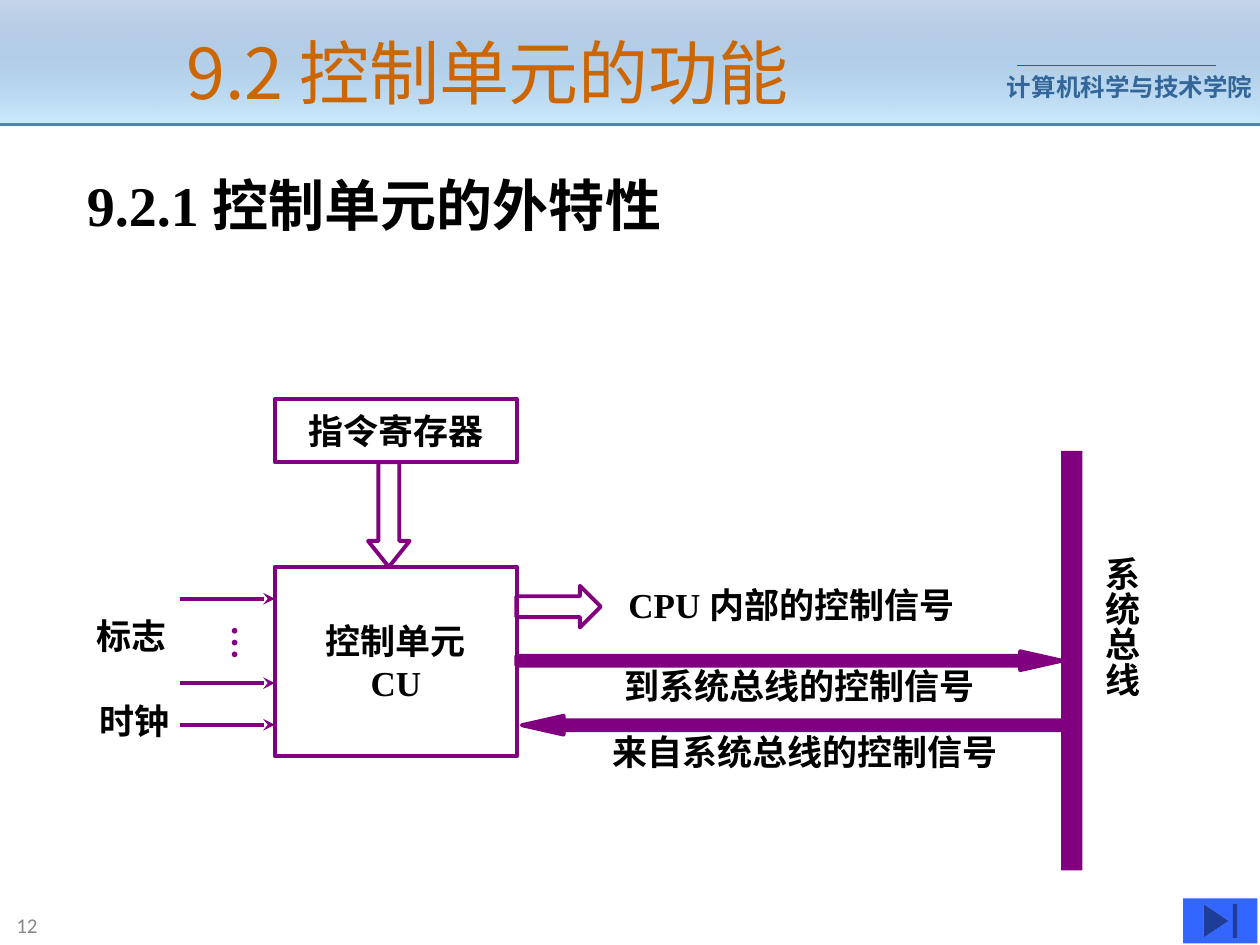
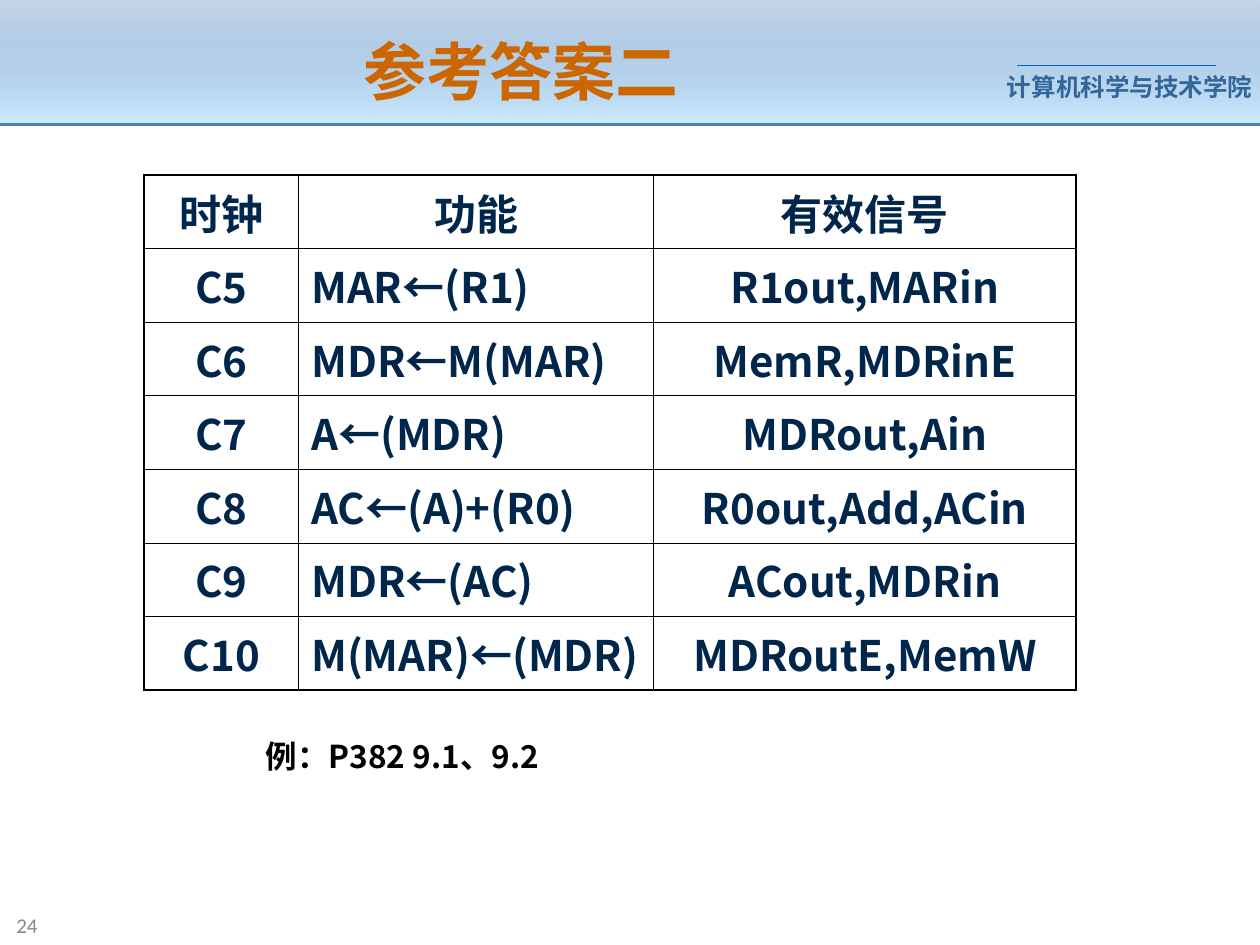
"""Build two lecture slides on the control unit of a processor."""
from dataclasses import dataclass

from lxml import etree
from pptx import Presentation
from pptx.dml.color import RGBColor
from pptx.enum.shapes import MSO_CONNECTOR, MSO_SHAPE
from pptx.enum.text import MSO_ANCHOR, MSO_AUTO_SIZE, PP_ALIGN
from pptx.oxml.ns import qn
from pptx.util import Cm, Pt

RECTANGLE = MSO_SHAPE.RECTANGLE
DOWN_ARROW, LEFT_ARROW, RIGHT_ARROW = (
    MSO_SHAPE.DOWN_ARROW, MSO_SHAPE.LEFT_ARROW, MSO_SHAPE.RIGHT_ARROW)
END_BUTTON = MSO_SHAPE.ACTION_BUTTON_END
STRAIGHT = MSO_CONNECTOR.STRAIGHT
LEFT, CENTER = PP_ALIGN.LEFT, PP_ALIGN.CENTER
MIDDLE = MSO_ANCHOR.MIDDLE
FIXED, GROW = MSO_AUTO_SIZE.NONE, MSO_AUTO_SIZE.SHAPE_TO_FIT_TEXT
TITLE_ONLY = 5


@dataclass(frozen=True)
class Style:
    """Describe the look of one kind of text."""
    size: int
    name: str
    color: str
    bold: bool = True


class Theme:
    """Hold the colours, fonts and text styles of the deck."""
    width, height = 25.4, 19.05
    east_asian = "Noto Sans CJK SC"
    serif = "Times New Roman"
    purple, blue, sky, rule, button = "800080", "4F81BD", "CCECFF", "0066CC", "3366FF"
    black, orange = "000000", "CC6600"
    stroke, outer, inner = 2.25, 1.08, 0.45
    section_title = Style(40, east_asian, orange, False)
    answer_title = Style(36, east_asian, orange)
    school = Style(14, "Arial", "336699")
    number = Style(12, "Calibri", "898989", False)
    heading = Style(32, serif, black)
    label = Style(20, serif, black)
    dots = Style(20, serif, purple)
    cell = Style(24, east_asian, "00264C")
    note = Style(18, east_asian, black)


TIGHT = {"margin_left": 0, "margin_right": 0}
BARE = {**TIGHT, "margin_top": 0, "margin_bottom": 0}
UPRIGHT = {"word_wrap": False, "auto_size": GROW,
           "margin_left": Cm(0.13), "margin_right": Cm(0.13),
           "margin_top": Cm(0.25), "margin_bottom": Cm(0.25)}

ROWS = [
    ("时钟", "功能", "有效信号"),
    ("C5", "MAR←(R1)", "R1out,MARin"),
    ("C6", "MDR←M(MAR)", "MemR,MDRinE"),
    ("C7", "A←(MDR)", "MDRout,Ain"),
    ("C8", "AC←(A)+(R0)", "R0out,Add,ACin"),
    ("C9", "MDR←(AC)", "ACout,MDRin"),
    ("C10", "M(MAR)←(MDR)", "MDRoutE,MemW"),
]


def rgb(code):
    """Turn a hex code into a colour."""
    return RGBColor.from_string(code)


def lengths(values):
    """Turn centimetre values into lengths."""
    return [Cm(value) for value in values]


def set_all(target, values):
    """Set each attribute named in a dict."""
    for name, value in values.items():
        setattr(target, name, value)


def write(frame, text, style, align=LEFT):
    """Write each line of text as a paragraph in one style."""
    for index, line in enumerate(text.split("\n")):
        para = frame.add_paragraph() if index else frame.paragraphs[0]
        para.alignment = align
        span = para.add_run()
        span.text = line
        set_all(span.font, {"size": Pt(style.size), "name": style.name, "bold": style.bold})
        span.font.color.rgb = rgb(style.color)
        etree.SubElement(span.font._element, qn("a:ea"), typeface=Theme.east_asian)


def add_text(page, text, place, style, formats=None, upright=False):
    """Add a text box, set vertically if upright."""
    box = page.shapes.add_textbox(*lengths(place))
    set_all(box.text_frame, {"word_wrap": True, "auto_size": FIXED, **(formats or {})})
    if upright:
        box.element.find(".//" + qn("a:bodyPr")).set("vert", "eaVert")
    write(box.text_frame, text, style)


def add_figure(page, kind, place, fill=None, line=Theme.purple, adjust=()):
    """Add a preset shape with an optional fill and outline."""
    figure = page.shapes.add_shape(kind, *lengths(place))
    figure.shadow.inherit = False
    for index, value in enumerate(adjust):
        figure.adjustments[index] = value
    if fill:
        figure.fill.solid()
        figure.fill.fore_color.rgb = rgb(fill)
    else:
        figure.fill.background()
    if line:
        figure.line.color.rgb = rgb(line)
        figure.line.width = Pt(Theme.stroke)
    else:
        figure.line.fill.background()
    return figure


def add_unit(page, text, place):
    """Add an outlined box with a centred name."""
    unit = add_figure(page, RECTANGLE, place)
    set_all(unit.text_frame, {"vertical_anchor": MIDDLE, "word_wrap": True})
    write(unit.text_frame, text, Theme.label, CENTER)


def add_line(page, ends, color, width, head=None):
    """Add a straight line with an optional arrowhead."""
    line = page.shapes.add_connector(STRAIGHT, *lengths(ends))
    line.line.color.rgb = rgb(color)
    line.line.width = Pt(width)
    if head:
        etree.SubElement(line.line._get_or_add_ln(), qn("a:tailEnd"), type=head)
    etree.SubElement(line.element.spPr, qn("a:effectLst"))


def add_band(page):
    """Add the shaded band behind the title."""
    band = add_figure(page, RECTANGLE, (0, 0, Theme.width, 2.51), line=None)
    band.fill.gradient()
    band.fill.gradient_angle = 270
    for stop, color, position in zip(
            band.fill.gradient_stops, (Theme.blue, Theme.sky), (0, 1)):
        stop.color.rgb = rgb(color)
        stop.position = position
    top_color = band.element.spPr.find(".//" + qn("a:srgbClr"))
    etree.SubElement(top_color, qn("a:alpha"), val="32000")


def add_page(deck, title, place, style, number):
    """Add a slide with the shared band, school name, title and number."""
    page = deck.slides.add_slide(deck.slide_layouts[TITLE_ONLY])
    add_band(page)
    add_text(page, "计算机科学与技术学院", (20.3, 1.32, 5, 0.86), Theme.school, TIGHT)
    add_line(page, (20.5, 1.32, 24.51, 1.32), Theme.rule, 0.75)
    add_line(page, (0, 2.51, Theme.width, 2.51), Theme.blue, 1.5)
    add_text(page, number, (0.08, 18.24, 5.61, 0.81), Theme.number,
             {"vertical_anchor": MIDDLE})
    heading = page.shapes.title
    set_all(heading, dict(zip(("left", "top", "width", "height"), lengths(place))))
    set_all(heading.text_frame, {"vertical_anchor": MIDDLE, "auto_size": FIXED})
    write(heading.text_frame, title, style, CENTER)
    page.shapes.element.append(heading.element)
    return page


def add_borders(cell, widths):
    """Draw the left, right, top and bottom borders of a cell."""
    properties = cell._tc.get_or_add_tcPr()
    for side, width in zip("LRTB", widths):
        line = etree.SubElement(properties, qn("a:ln" + side), w=str(Pt(width)))
        fill = etree.SubElement(line, qn("a:solidFill"))
        etree.SubElement(fill, qn("a:srgbClr"), val=Theme.black)


def add_signal_table(page, rows, left, top, widths, row_height):
    """Add a ruled table with a heavier outer frame."""
    place = lengths((left, top, sum(widths), row_height * len(rows)))
    table = page.shapes.add_table(len(rows), len(widths), *place).table
    set_all(table, {"first_row": False, "horz_banding": False})
    for column, width in zip(table.columns, widths):
        column.width = Cm(width)
    last_row, last_column = len(rows) - 1, len(widths) - 1
    for y, row in enumerate(rows):
        table.rows[y].height = Cm(row_height)
        for x, text in enumerate(row):
            cell = table.cell(y, x)
            edges = (x == 0, x == last_column, y == 0, y == last_row)
            add_borders(cell, [Theme.outer if edge else Theme.inner for edge in edges])
            cell.fill.background()
            write(cell.text_frame, text, Theme.cell, LEFT if x == 1 and y else CENTER)


def add_control_unit_page(deck):
    """Show the control unit with its inputs and outputs."""
    page = add_page(deck, "9.2 控制单元的功能", (0.13, 0.33, 19.4, 2.21),
                    Theme.section_title, "12")
    add_text(page, "9.2.1 控制单元的外特性", (1.75, 3.53, 11.99, 1.19), Theme.heading,
             {**BARE, "word_wrap": False, "vertical_anchor": MIDDLE})
    add_unit(page, "指令寄存器", (5.54, 8.05, 4.88, 1.27))
    add_unit(page, "控制单元\nCU", (5.54, 11.43, 4.88, 3.81))
    add_figure(page, DOWN_ARROW, (7.42, 9.32, 0.84, 2.11), adjust=(0.5, 0.625))
    for y in (12.07, 13.77, 14.61):
        add_line(page, (3.63, y, 5.54, y), Theme.purple, Theme.stroke, "stealth")
    add_text(page, "…", (4.17, 12.37, 1.35, 0.97), Theme.dots, UPRIGHT, upright=True)
    add_figure(page, RIGHT_ARROW, (10.41, 11.81, 1.7, 0.84), adjust=(0.5, 0.5))
    for kind, left, top in ((RIGHT_ARROW, 10.41, 13.13), (LEFT_ARROW, 10.52, 14.43)):
        add_figure(page, kind, (left, top, 11, 0.38), Theme.purple, adjust=(0.52, 2.22))
    for text, left, top, width in (
            ("时钟", 1.75, 13.97, 2.2),
            ("标志", 1.7, 12.27, 2.2),
            ("CPU 内部的控制信号", 12.42, 11.63, 8),
            ("到系统总线的控制信号", 12.34, 13.28, 8),
            ("来自系统总线的控制信号", 12.09, 14.61, 8.8)):
        add_text(page, text, (left, top, width, 1.12), Theme.label)
    add_figure(page, RECTANGLE, (21.39, 9.09, 0.43, 8.46), Theme.purple, line=None)
    add_text(page, "系统总线", (21.82, 10.98, 1.35, 3.1), Theme.label, UPRIGHT, upright=True)
    add_figure(page, END_BUTTON, (23.85, 18.11, 1.5, 0.91), Theme.button, line=None)


def add_answer_page(deck):
    """Show the table of clock steps and their active signals."""
    page = add_page(deck, "参考答案二", (1.3, 0.53, 18.39, 1.78), Theme.answer_title, "24")
    add_signal_table(page, ROWS, 2.9, 3.53, (3.12, 7.16, 8.51), 1.48)
    add_text(page, "例：P382 9.1、9.2", (5.11, 14.73, 8, 1.02), Theme.note)


def main():
    """Build and save the deck."""
    deck = Presentation()
    set_all(deck, {"slide_width": Cm(Theme.width), "slide_height": Cm(Theme.height)})
    add_control_unit_page(deck)
    add_answer_page(deck)
    deck.save("out.pptx")


if __name__ == "__main__":
    main()
